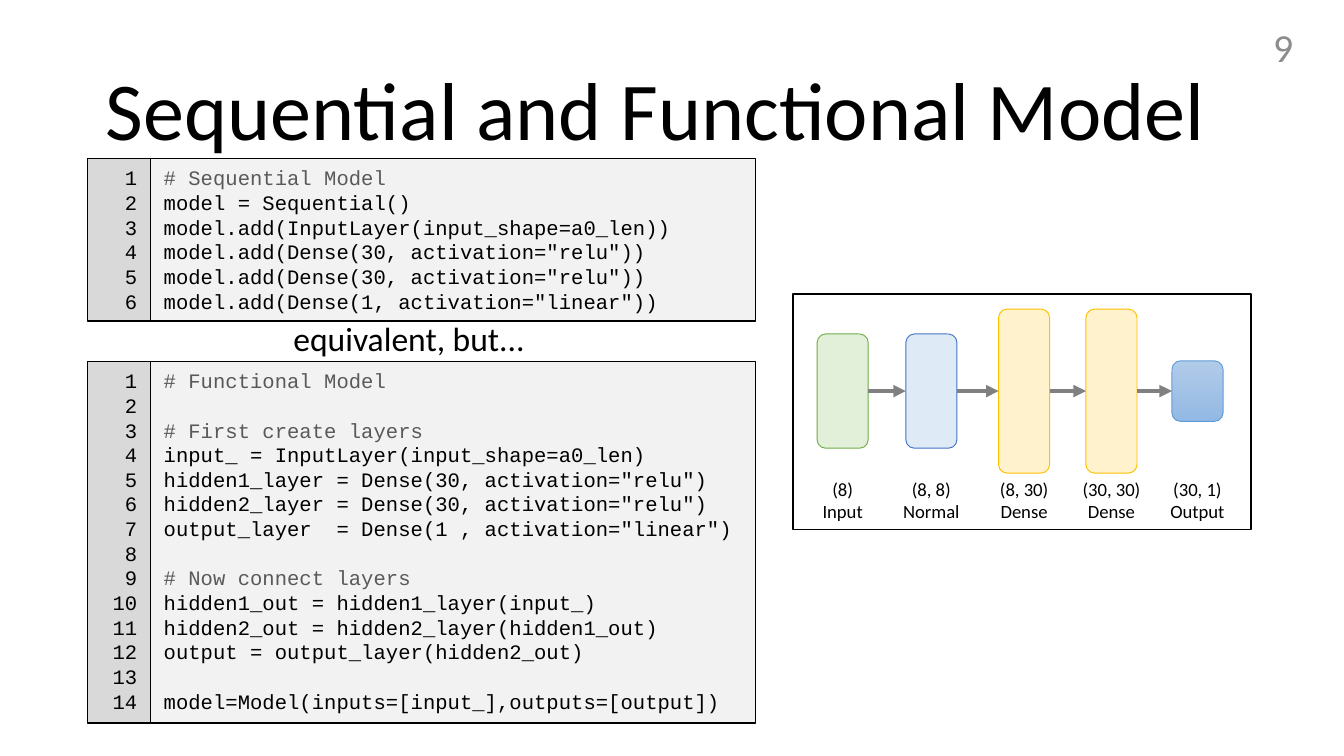
import dataclasses
import itertools

import lxml.etree
import pptx
import pptx.dml.color
import pptx.enum.shapes
import pptx.enum.text
import pptx.oxml.ns
import pptx.util

SHAPES = pptx.enum.shapes.MSO_SHAPE
ALIGN = pptx.enum.text.PP_ALIGN
ANCHOR = pptx.enum.text.MSO_ANCHOR
COLUMNS, ROWS = 100, 56.25
CELL = pptx.util.Inches(0.1)


@dataclasses.dataclass(frozen=True)
class Theme:
    body_font: str = "Calibri"
    code_font: str = "Courier New"
    ink: str = "000000"
    comment: str = "595959"
    number: str = "8C8C8C"
    arrow: str = "808080"
    code_fill: str = "F2F2F2"
    gutter_fill: str = "D9D9D9"
    panel_fill: str = "FFFFFF"
    title_size: float = 44
    number_size: float = 21.3
    note_size: float = 18
    code_size: float = 11
    label_size: float = 10
    box_line: float = 0.75
    panel_line: float = 1
    layer_line: float = 0.5
    arrow_line: float = 2.25


THEME = Theme()


@dataclasses.dataclass(frozen=True)
class Box:
    left: float
    top: float
    width: float
    height: float

    def inner(self, left, top, width, height):
        return Box(self.left + left, self.top + top, width, height)

    def lengths(self):
        return [round(n * CELL) for n in (self.left, self.top, self.width, self.height)]


SEQUENTIAL_CODE = """# Sequential Model
model = Sequential()
model.add(InputLayer(input_shape=a0_len))
model.add(Dense(30, activation="relu"))
model.add(Dense(30, activation="relu"))
model.add(Dense(1, activation="linear"))"""

FUNCTIONAL_CODE = """# Functional Model

# First create layers
input_ = InputLayer(input_shape=a0_len)
hidden1_layer = Dense(30, activation="relu")
hidden2_layer = Dense(30, activation="relu")
output_layer  = Dense(1 , activation="linear")

# Now connect layers
hidden1_out = hidden1_layer(input_)
hidden2_out = hidden2_layer(hidden1_out)
output = output_layer(hidden2_out)

model=Model(inputs=[input_],outputs=[output])"""

LAYERS = [
    (3.7, 8.5, ["E2F0D9"], "70AD47", ["(8)", "Input"]),
    (10.3, 8.5, ["DEEBF7"], "4472C4", ["(8, 8)", "Normal"]),
    (17.2, 12.2, ["FFF2CC"], "FFC000", ["(8, 30)", "Dense"]),
    (23.7, 12.2, ["FFF2CC"], "FFC000", ["(30, 30)", "Dense"]),
    (30.1, 4.5, ["B1CBE9", "93B9E4"], "5B9BD5", ["(30, 1)", "Output"]),
]


def rgb(color):
    return pptx.dml.color.RGBColor.from_string(color)


def write(frame, lines, font, size, color, align=ALIGN.LEFT, anchor=ANCHOR.MIDDLE, spacing=None):
    frame.word_wrap = True
    frame.vertical_anchor = anchor
    for index, line in enumerate(lines):
        para = frame.add_paragraph() if index else frame.paragraphs[0]
        if line:
            para.add_run().text = line
        para.alignment = align
        para.line_spacing = spacing
        para.font.name = font
        para.font.size = pptx.util.Pt(size)
        para.font.color.rgb = rgb(THEME.comment if line.startswith("#") else color)


def add_text(page, box, lines, size, color=THEME.ink, **layout):
    frame = page.shapes.add_textbox(*box.lengths()).text_frame
    write(frame, lines, THEME.body_font, size, color, **layout)


def add_block(page, kind, box, fills, line, weight):
    block = page.shapes.add_shape(kind, *box.lengths())
    block.shadow.inherit = False
    if len(fills) == 1:
        block.fill.solid()
        block.fill.fore_color.rgb = rgb(fills[0])
    else:
        block.fill.gradient()
        block.fill.gradient_angle = 270
        for stop, color in zip(block.fill.gradient_stops, fills):
            stop.color.rgb = rgb(color)
    block.line.color.rgb = rgb(line)
    block.line.width = pptx.util.Pt(weight)
    return block


def add_arrow(page, start, end):
    arrow = page.shapes.add_connector(pptx.enum.shapes.MSO_CONNECTOR.STRAIGHT, 0, 0, 0, 0)
    arrow.begin_connect(start, 3)
    arrow.end_connect(end, 1)
    arrow.line.color.rgb = rgb(THEME.arrow)
    arrow.line.width = pptx.util.Pt(THEME.arrow_line)
    tail = lxml.etree.SubElement(arrow.line._get_or_add_ln(), pptx.oxml.ns.qn("a:tailEnd"))
    tail.set("type", "triangle")
    lxml.etree.SubElement(arrow._element.spPr, pptx.oxml.ns.qn("a:effectLst"))


def add_listing(page, box, code):
    lines = code.split("\n")
    numbers = [str(n) for n in range(1, len(lines) + 1)]
    gutter = 4.7
    height = 1 + 1.85 * len(lines)
    sides = [
        (box.inner(gutter, 0, box.width - gutter, height), THEME.code_fill, lines, ALIGN.LEFT),
        (box.inner(0, 0, gutter, height), THEME.gutter_fill, numbers, ALIGN.RIGHT),
    ]
    for side, fill, content, align in sides:
        block = add_block(page, SHAPES.RECTANGLE, side, [fill], THEME.ink, THEME.box_line)
        write(block.text_frame, content, THEME.code_font, THEME.code_size, THEME.ink, align, ANCHOR.TOP)


def add_network(page, box):
    add_block(page, SHAPES.RECTANGLE, box, [THEME.panel_fill], THEME.ink, THEME.panel_line)
    axis, layer_width, label_width = 7.2, 3.8, 7
    layers = []
    for center, height, fills, line, label in LAYERS:
        layer_box = box.inner(center - layer_width / 2, axis - height / 2, layer_width, height)
        layers.append(add_block(page, SHAPES.ROUNDED_RECTANGLE, layer_box, fills, line, THEME.layer_line))
        label_box = box.inner(center - label_width / 2, 13.1, label_width, 4.4)
        add_text(page, label_box, label, THEME.label_size, align=ALIGN.CENTER)
    for start, end in itertools.pairwise(layers):
        add_arrow(page, start, end)


def add_heading(page, box):
    add_text(page, box.inner(6.9, 3, 86.2, 10.9), ["Sequential and Functional Model"],
             THEME.title_size, spacing=0.9)
    add_text(page, box.inner(74.7, 2, 22.5, 3), ["9"], THEME.number_size, THEME.number,
             align=ALIGN.RIGHT)


def add_model_page(deck, box):
    page = deck.slides.add_slide(deck.slide_layouts[6])
    add_heading(page, box)
    add_listing(page, box.inner(6.5, 11.8, 49.7, 12.1), SEQUENTIAL_CODE)
    add_listing(page, box.inner(6.5, 26.9, 49.7, 26.9), FUNCTIONAL_CODE)
    add_text(page, box.inner(16.1, 23.5, 28.7, 4.2), ["equivalent, but..."], THEME.note_size,
             align=ALIGN.CENTER, anchor=ANCHOR.TOP, spacing=0.9)
    add_network(page, box.inner(59, 21.9, 34.1, 17.5))


def main():
    deck = pptx.Presentation()
    deck.slide_width = round(COLUMNS * CELL)
    deck.slide_height = round(ROWS * CELL)
    add_model_page(deck, Box(0, 0, COLUMNS, ROWS))
    deck.save("out.pptx")


if __name__ == "__main__":
    main()
